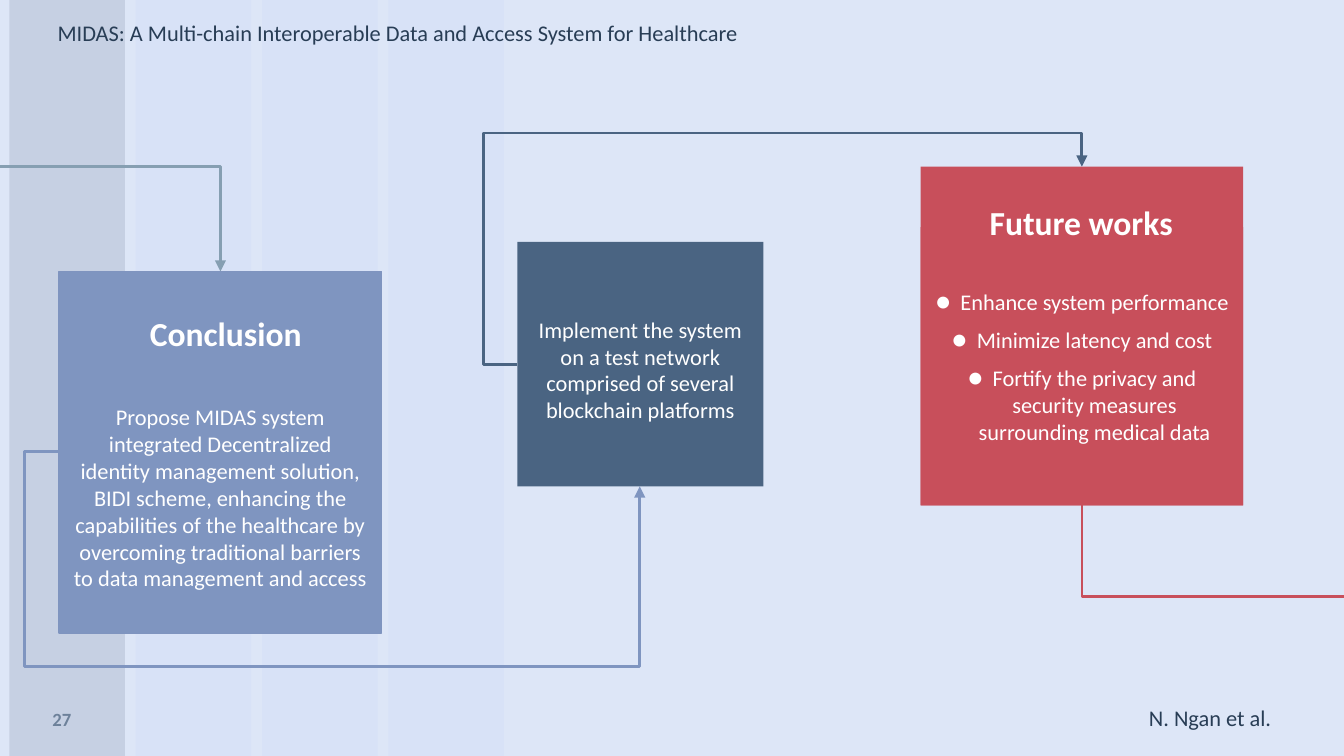
"""Build the conclusion and future works slide."""
from lxml.etree import SubElement as Sub
from pptx import Presentation
from pptx.dml.color import RGBColor
from pptx.enum.shapes import MSO_CONNECTOR as Link, MSO_SHAPE as Shape
from pptx.enum.text import MSO_ANCHOR as Anchor, PP_ALIGN as Align
from pptx.oxml.ns import qn
from pptx.util import Inches, Pt

WIDE = 10
HIGH = WIDE * 9 / 16

PAPER = RGBColor(0xDD, 0xE6, 0xF7)
BAND = RGBColor(0xD8, 0xE2, 0xF7)
GREY = RGBColor(0xC6, 0xD0, 0xE3)
INK = RGBColor(0x28, 0x3D, 0x55)
SLATE = RGBColor(0x6D, 0x81, 0x9A)
STEEL = RGBColor(0x86, 0x9F, 0xB2)
BLUE = RGBColor(0x7F, 0x95, 0xC0)
EDGE = RGBColor(0x7F, 0x94, 0xBF)
NAVY = RGBColor(0x4A, 0x64, 0x82)
RED = RGBColor(0xC8, 0x4F, 0x5B)
WHITE = RGBColor(0xFF, 0xFF, 0xFF)

GOALS = [
    "Enhance system performance",
    "Minimize latency and cost",
    "Fortify the privacy and security measures surrounding medical data",
]


def add_box(slide, area, fill):
    box = slide.shapes.add_shape(Shape.RECTANGLE, *map(Inches, area))
    box.shadow.inherit = False
    box.fill.solid()
    box.fill.fore_color.rgb = fill
    box.line.fill.background()
    return box


def add_text(slide, area):
    return slide.shapes.add_textbox(*map(Inches, area))


def add_dot(para):
    props = para._p.get_or_add_pPr()
    props.set("marL", str(Inches(0.19)))
    props.set("indent", str(-Inches(0.19)))
    tint = Sub(props, qn("a:buClr"))
    Sub(tint, qn("a:srgbClr"), val=str(WHITE))
    Sub(props, qn("a:buSzPct"), val="150000")
    Sub(props, qn("a:buFont"), typeface="Calibri")
    Sub(props, qn("a:buChar"), char="•")


def write(box, lines, size=12, color=WHITE, bold=False, align=Align.CENTER,
          anchor=Anchor.MIDDLE, inset=0.1, dots=False):
    frame = box.text_frame
    frame.word_wrap = True
    frame.vertical_anchor = anchor
    frame.margin_top = frame.margin_bottom = Inches(inset)
    for i, line in enumerate(lines):
        para = frame.add_paragraph() if i else frame.paragraphs[0]
        para.alignment = align
        if i:
            para.space_before = Pt(6)
        if dots:
            add_dot(para)
        run = para.add_run()
        run.text = line
        font = run.font
        font.name, font.size, font.bold = "Calibri", Pt(size), bold
        font.color.rgb = color


def add_link(slide, start, end, color, bends=(), arrow=True):
    link = slide.shapes.add_connector(Link.ELBOW, *map(Inches, start + end))
    link.line.color.rgb = color
    link.line.width = Pt(1.5)
    props = link._element.spPr
    geom = props.find(qn("a:prstGeom"))
    geom.set("prst", "bentConnector4" if bends else "bentConnector2")
    guides = geom.get_or_add_avLst()
    for i, bend in enumerate(bends, 1):
        Sub(guides, qn("a:gd"), name=f"adj{i}", fmla=f"val {round(bend * 100000)}")
    if arrow:
        Sub(link.line._get_or_add_ln(), qn("a:tailEnd"), type="triangle")
    Sub(props, qn("a:effectLst"))


def add_frame(slide):
    for i in reversed(range(4)):
        add_box(slide, (0.07 + 0.94 * i, 0, 0.86, HIGH), BAND if i else GREY)
    plain = dict(color=INK, align=Align.LEFT, anchor=Anchor.TOP, inset=0.05)
    title = "MIDAS: A Multi-chain Interoperable Data and Access System for Healthcare"
    write(add_text(slide, (0.33, 0.09, 6.84, 0.3)), [title], **plain)
    write(add_text(slide, (8.45, 5.19, 1.48, 0.3)), ["N. Ngan et al."], **plain)
    write(add_text(slide, (0.23, 5.2, 0.46, 0.3)), ["27"], 10, SLATE, True, inset=0.05)


def add_end(slide):
    add_link(slide, (-1.05, 1.24), (1.64, 2.02), STEEL)
    card = add_box(slide, (0.44, 2.02, 2.4, 2.69), BLUE)
    card.line.color.rgb = EDGE
    card.line.width = Pt(0.75)
    add_link(slide, (0.44, 3.36), (4.76, 3.62), BLUE, (-0.06, 6.16))
    write(add_box(slide, (0.84, 2.29, 1.68, 0.38), BLUE), ["Conclusion"], 18, bold=True)
    write(add_box(slide, (0.44, 2.69, 2.4, 2.02), BLUE), [
        "Propose MIDAS system integrated Decentralized identity management "
        "solution, BIDI scheme, enhancing the capabilities of the healthcare by "
        "overcoming traditional barriers to data management and access"])


def add_test(slide):
    add_box(slide, (3.85, 1.8, 1.83, 1.82), NAVY)
    add_link(slide, (3.85, 2.71), (8.05, 1.24), NAVY, (-0.06, 1.17))
    write(add_text(slide, (3.85, 2.41, 1.83, 0.68)), [
        "Implement the system on a test network comprised of several "
        "blockchain platforms"])


def add_plan(slide):
    add_box(slide, (6.85, 1.24, 2.4, 2.52), RED)
    add_link(slide, (10.66, 4.44), (8.05, 3.76), RED, arrow=False)
    write(add_box(slide, (6.85, 1.69, 2.4, 2.07), RED), GOALS, dots=True)
    write(add_box(slide, (7.14, 1.46, 1.81, 0.38), RED), ["Future works"], 18, bold=True)


def main():
    deck = Presentation()
    deck.slide_width, deck.slide_height = Inches(WIDE), Inches(HIGH)
    slide = deck.slides.add_slide(deck.slide_layouts[6])
    slide.background.fill.solid()
    slide.background.fill.fore_color.rgb = PAPER
    add_frame(slide)
    add_end(slide)
    add_test(slide)
    add_plan(slide)
    deck.save("out.pptx")


if __name__ == "__main__":
    main()
